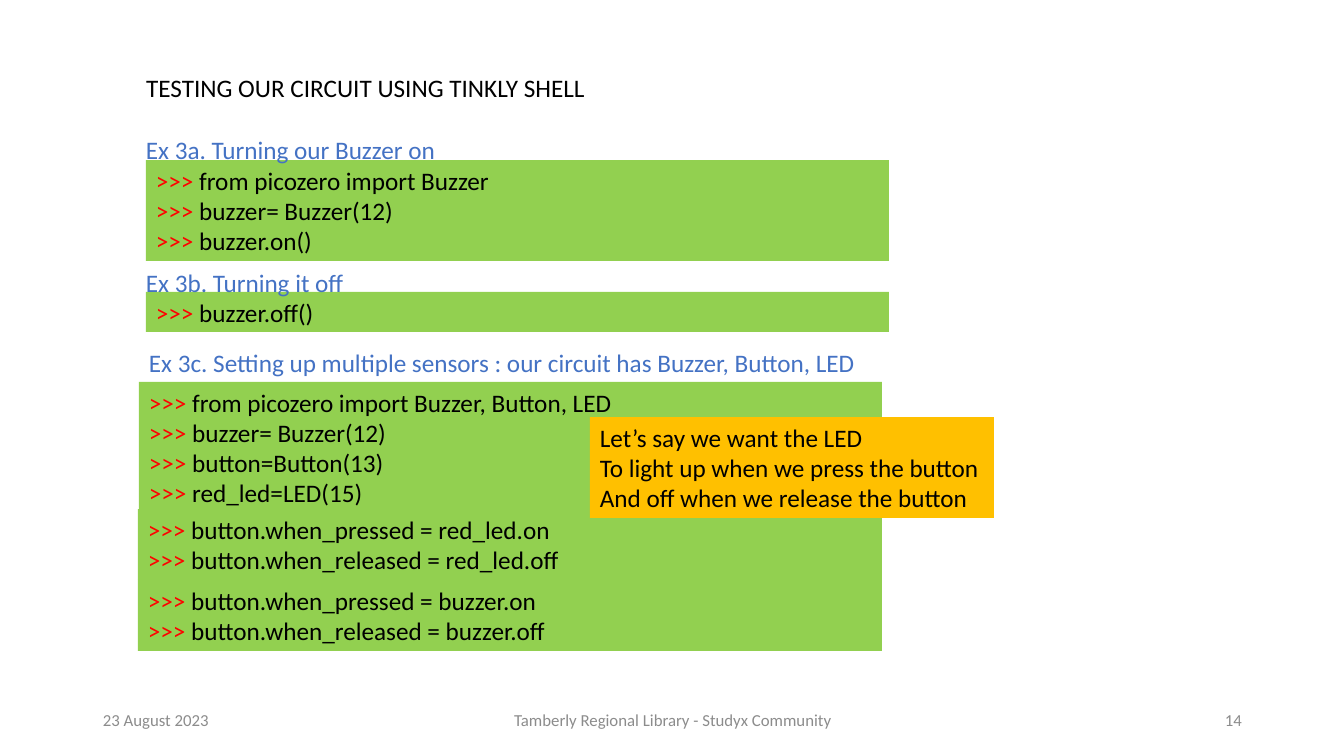
from dataclasses import dataclass

from pptx import Presentation
from pptx import util as u
from pptx.dml.color import RGBColor
from pptx.enum import shapes, text

TITLE = ("TESTING OUR CIRCUIT USING TINKLY SHELL", 136, 67, 484)
HEADINGS = [
    ("Ex 3a. Turning our Buzzer on", 136, 129, 386),
    ("Ex 3b. Turning it off", 136, 262, 298),
    ("Ex 3c. Setting up multiple sensors : our circuit has Buzzer, Button, LED", 139, 342, 772),
]
CODE_BLOCKS = [
    (["from picozero import Buzzer", "buzzer= Buzzer(12)", "buzzer.on()"], 146, 160, 743),
    (["buzzer.off()"], 146, 292, 743),
    (["from picozero import Buzzer, Button, LED", "buzzer= Buzzer(12)",
      "button=Button(13)", "red_led=LED(15)"], 139, 382, 743),
    (["button.when_pressed = buzzer.on", "button.when_released = buzzer.off"], 138, 580, 744),
    (["button.when_pressed = red_led.on", "button.when_released = red_led.off"], 138, 509, 744),
]
NOTE = (["Let’s say we want the LED", "To light up when we press the button",
         "And off when we release the button"], 590, 417, 404)
FOOTERS = [
    ("23 August 2023", 93, 302, text.PP_ALIGN.LEFT),
    ("Tamberly Regional Library - Studyx Community", 446, 454, text.PP_ALIGN.CENTER),
    ("14", 950, 302, text.PP_ALIGN.RIGHT),
]
FOOTER_TOP = 700
ROW_HEIGHT = 40
PROMPT = ">>> "


@dataclass(frozen=True)
class Theme:
    font: str = "Calibri"
    body_size: int = 18
    footer_size: int = 12
    ink: str = "000000"
    heading: str = "4472C4"
    prompt: str = "FF0000"
    code_fill: str = "92D050"
    note_fill: str = "FFC000"
    footer: str = "8C8C8C"


THEME = Theme()


def px(length):
    return u.Emu(round(length * 914400 / 100.8))


def box_height(lines):
    return 10 + len(lines) * 61 // 2


def style(paragraph, color, size=THEME.body_size, align=text.PP_ALIGN.LEFT):
    paragraph.alignment = align
    paragraph.font.name = THEME.font
    paragraph.font.size = u.Pt(size)
    paragraph.font.color.rgb = RGBColor.from_string(color)


def set_frame(shape, wrap=True, anchor=text.MSO_ANCHOR.TOP):
    frame = shape.text_frame
    frame.word_wrap = wrap
    frame.auto_size = text.MSO_AUTO_SIZE.NONE
    frame.vertical_anchor = anchor
    return frame


def add_label(slide, label, left, top, width, color, size=THEME.body_size,
              align=text.PP_ALIGN.LEFT, anchor=text.MSO_ANCHOR.TOP):
    shape = slide.shapes.add_textbox(px(left), px(top), px(width), px(ROW_HEIGHT))
    frame = set_frame(shape, anchor=anchor)
    frame.text = label
    style(frame.paragraphs[0], color, size, align)


def add_panel(slide, lines, left, top, width, fill, prompt="", wrap=True):
    shape = slide.shapes.add_shape(shapes.MSO_SHAPE.RECTANGLE, px(left), px(top),
                                   px(width), px(box_height(lines)))
    shape.shadow.inherit = False
    shape.fill.solid()
    shape.fill.fore_color.rgb = RGBColor.from_string(fill)
    shape.line.fill.background()
    frame = set_frame(shape, wrap)
    for index, line in enumerate(lines):
        paragraph = frame.add_paragraph() if index else frame.paragraphs[0]
        style(paragraph, THEME.ink)
        if prompt:
            run = paragraph.add_run()
            run.text = prompt
            run.font.color.rgb = RGBColor.from_string(THEME.prompt)
        run = paragraph.add_run()
        run.text = line
        run.font.color.rgb = RGBColor.from_string(THEME.ink)


def add_title(slide, label, left, top, width):
    title = slide.shapes.title
    title.left, title.top = px(left), px(top)
    title.width, title.height = px(width), px(ROW_HEIGHT)
    frame = set_frame(title, wrap=False)
    frame.text = label
    style(frame.paragraphs[0], THEME.ink)


def main():
    presentation = Presentation()
    presentation.slide_width, presentation.slide_height = px(1344), px(756)
    slide = presentation.slides.add_slide(presentation.slide_layouts[5])
    add_title(slide, *TITLE)
    for block in CODE_BLOCKS:
        add_panel(slide, *block, THEME.code_fill, PROMPT)
    for heading in HEADINGS:
        add_label(slide, *heading, THEME.heading)
    add_panel(slide, *NOTE, THEME.note_fill, wrap=False)
    for label, left, width, align in FOOTERS:
        add_label(slide, label, left, FOOTER_TOP, width, THEME.footer,
                  THEME.footer_size, align, text.MSO_ANCHOR.MIDDLE)
    presentation.save("out.pptx")


if __name__ == "__main__":
    main()
